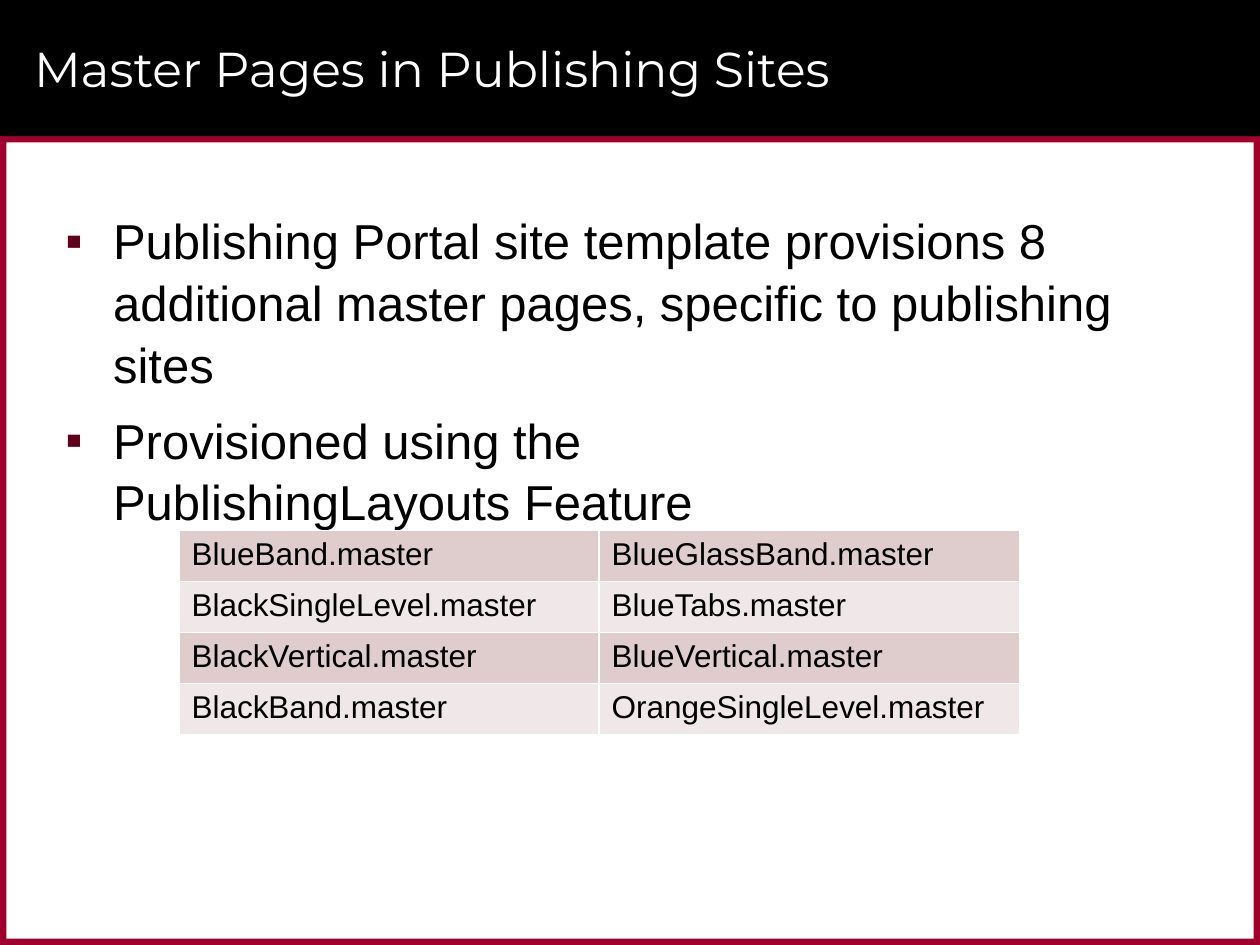
from pptx import Presentation
from pptx.dml.color import RGBColor
from pptx.enum.shapes import MSO_SHAPE
from pptx.enum.text import MSO_ANCHOR, PP_ALIGN
from pptx.oxml import parse_xml
from pptx.oxml.ns import nsdecls
from pptx.util import Inches, Pt

RECTANGLE = MSO_SHAPE.RECTANGLE
MIDDLE = MSO_ANCHOR.MIDDLE
TOP = MSO_ANCHOR.TOP
LEFT = PP_ALIGN.LEFT

BLACK = RGBColor(0x00, 0x00, 0x00)
WHITE = RGBColor(0xFF, 0xFF, 0xFF)
CRIMSON = RGBColor(0x9F, 0x00, 0x2D)
MAROON = RGBColor(0x60, 0x00, 0x1B)
ROW_BANDS = (RGBColor(0xDF, 0xCC, 0xCD), RGBColor(0xF0, 0xE7, 0xE8))

SLIDE_WIDTH, SLIDE_HEIGHT = Inches(10), Inches(7.5)
HEADER_HEIGHT = Inches(1.08)
EDGE = Inches(0.05)

POINTS = (
    "Publishing Portal site template provisions 8 additional master pages, "
    "specific to publishing sites",
    "Provisioned using the \vPublishingLayouts Feature",
)
MASTER_PAGES = (
    ("BlueBand.master", "BlueGlassBand.master"),
    ("BlackSingleLevel.master", "BlueTabs.master"),
    ("BlackVertical.master", "BlueVertical.master"),
    ("BlackBand.master", "OrangeSingleLevel.master"),
)


def style_font(font, name, size, color):
    """Set the typeface, point size and colour of a font."""
    font.name = name
    font.size = Pt(size)
    font.color.rgb = color


def add_block(slide, left, top, width, height, color):
    """Add a plain filled rectangle."""
    block = slide.shapes.add_shape(RECTANGLE, left, top, width, height)
    block.shadow.inherit = False
    block.fill.solid()
    block.fill.fore_color.rgb = color
    block.line.fill.background()


def add_frame(slide, left, top, width, height):
    """Draw the crimson border around the content area."""
    right, bottom = left + width - EDGE, top + height - EDGE
    for y in (top, bottom):
        add_block(slide, left, y, width, EDGE, CRIMSON)
    for x in (right, left):
        add_block(slide, x, top, EDGE, height, CRIMSON)


def add_header(slide, left, top, width, height):
    """Draw the black header and place the slide title on it."""
    add_block(slide, left, top, width, height, BLACK)
    title = slide.shapes.title
    title.element.getparent().append(title.element)
    title.left, title.top = left + Inches(0.17), top + Inches(0.08)
    title.width, title.height = Inches(9.42), Inches(0.92)
    frame = title.text_frame
    frame.text = "Master Pages in Publishing Sites"
    frame.vertical_anchor = MIDDLE
    heading = frame.paragraphs[0]
    heading.alignment = LEFT
    style_font(heading.runs[0].font, "Montserrat", 28, WHITE)


def add_bullet(paragraph):
    """Give a paragraph a hanging square bullet."""
    properties = paragraph._p.get_or_add_pPr()
    properties.set("marL", str(Inches(0.38)))
    properties.set("indent", str(-Inches(0.38)))
    for content in (
        f'<a:buClr {nsdecls("a")}><a:srgbClr val="{MAROON}"/></a:buClr>',
        f'<a:buFont {nsdecls("a")} typeface="Arial"/>',
        f'<a:buChar {nsdecls("a")} char="▪"/>',
    ):
        properties.append(parse_xml(content))


def add_points(slide, left, top, width, height):
    """Write the bulleted points."""
    frame = slide.shapes.add_textbox(left, top, width, height).text_frame
    frame.word_wrap = True
    frame.vertical_anchor = TOP
    for index, point in enumerate(POINTS):
        paragraph = frame.add_paragraph() if index else frame.paragraphs[0]
        paragraph.text = point
        add_bullet(paragraph)
        paragraph.line_spacing = 1.05
        paragraph.space_before = Pt(6 if index else 0)
        paragraph.space_after = Pt(2)
        for run in paragraph.runs:
            style_font(run.font, "Arial", 28, BLACK)


def add_cell_borders(cell):
    """Outline a cell with thin white lines."""
    properties = cell._tc.get_or_add_tcPr()
    for position, side in enumerate(("lnL", "lnR", "lnT", "lnB")):
        border = parse_xml(
            f'<a:{side} {nsdecls("a")} w="{Pt(1)}"><a:solidFill>'
            f'<a:srgbClr val="{WHITE}"/></a:solidFill></a:{side}>'
        )
        properties.insert(position, border)


def add_master_pages(slide, left, top, width, height):
    """Add the banded table of master page files."""
    rows, columns = len(MASTER_PAGES), len(MASTER_PAGES[0])
    table = slide.shapes.add_table(rows, columns, left, top, width, height).table
    table.first_row = False
    for row, names in enumerate(MASTER_PAGES):
        for column, name in enumerate(names):
            cell = table.cell(row, column)
            cell.text = name
            cell.fill.solid()
            cell.fill.fore_color.rgb = ROW_BANDS[row % 2]
            add_cell_borders(cell)
            style_font(cell.text_frame.paragraphs[0].runs[0].font, "Arial", 18, BLACK)


def main():
    """Build and save the slide."""
    presentation = Presentation()
    presentation.slide_width = SLIDE_WIDTH
    presentation.slide_height = SLIDE_HEIGHT
    slide = presentation.slides.add_slide(presentation.slide_layouts[5])
    add_frame(slide, 0, HEADER_HEIGHT, SLIDE_WIDTH, SLIDE_HEIGHT - HEADER_HEIGHT)
    add_header(slide, 0, 0, SLIDE_WIDTH, HEADER_HEIGHT)
    add_points(slide, Inches(0.42), Inches(1.6), Inches(9.17), Inches(5.65))
    add_master_pages(slide, Inches(1.42), Inches(4.21), Inches(6.67), Inches(1.62))
    presentation.save("out.pptx")


if __name__ == "__main__":
    main()
